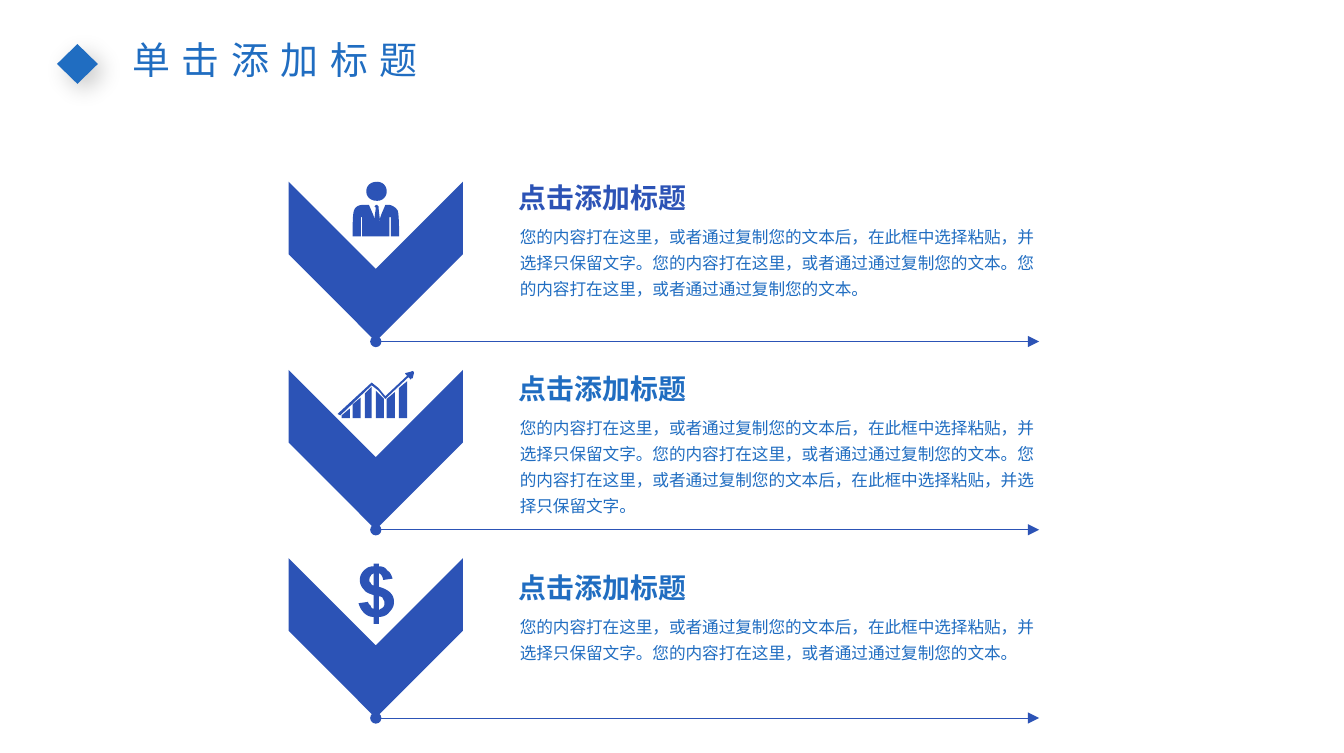
from lxml.etree import SubElement
from pptx import Presentation
from pptx.dml.color import RGBColor
from pptx.enum.shapes import MSO_CONNECTOR, MSO_SHAPE
from pptx.enum.text import MSO_ANCHOR, MSO_AUTO_SIZE, PP_ALIGN
from pptx.oxml.ns import qn
from pptx.util import Cm, Pt

NAVY = RGBColor(0x2C, 0x53, 0xB6)
BLUE = RGBColor(0x20, 0x6D, 0xC1)
FONT = "Noto Sans CJK SC"

TITLE = "单击添加标题"
HEAD = "点击添加标题"
OPEN = "您的内容打在这里，或者通过复制您的文本后，在此框中选择粘贴，并选择只保留文字。"
MORE = "您的内容打在这里，或者通过通过复制您的文本。"

# Each contour lists points (x, y) and cubic curves (x1, y1, x2, y2, x, y).
MAN = [
    [(25, 7), (25, 11, 22, 14, 18, 14), (13, 14, 10, 11, 10, 7),
     (10, 3, 13, 0, 18, 0), (22, 0, 25, 3, 25, 7)],
    [(17, 17), (18, 17), (19, 18), (19, 19), (20, 28), (18, 33), (21, 24),
     (24, 17), (27, 17), (28, 17, 31, 18, 33, 21), (34, 24, 34, 33, 34, 40),
     (28, 40), (28, 26), (27, 26), (27, 40), (7, 40), (7, 26), (6, 26),
     (6, 40), (0, 40), (0, 33, 0, 24, 1, 21), (2, 18, 5, 17, 7, 17),
     (12, 17), (15, 24), (16, 27), (17, 19), (16, 18)],
]
GRAPH = [
    [(9, 27), (9, 34), (3, 34), (3, 32)],
    [(17, 19), (17, 34), (11, 34), (11, 24)],
    [(25, 11), (25, 34), (20, 34), (20, 16)],
    [(28, 14), (34, 20), (34, 34), (28, 34)],
    [(42, 15), (42, 34), (36, 34), (36, 20)],
    [(51, 7), (51, 34), (45, 34), (45, 12)],
    [(54, 0), (55, -1, 56, 0, 56, 1), (55, 5), (54, 5), (54, 6, 53, 6, 53, 5),
     (52, 4), (35, 20), (30, 14), (25, 10), (2, 32), (0, 31), (25, 8),
     (30, 12), (35, 18), (51, 3), (50, 2), (49, 1, 50, 1, 50, 1)],
]
MONEY = [
    [(11, 33), (11, 23), (8, 22, 5, 21, 4, 19), (2, 17, 1, 15, 1, 12),
     (1, 9, 2, 7, 4, 5), (6, 3, 8, 2, 11, 2), (11, 0), (15, 0), (15, 2),
     (18, 2, 20, 3, 21, 5), (23, 6, 24, 8, 25, 11), (18, 12),
     (18, 10, 17, 8, 15, 7), (15, 17), (19, 18, 22, 20, 23, 21),
     (25, 23, 26, 25, 26, 28), (26, 31, 25, 33, 23, 35),
     (21, 38, 18, 39, 15, 39), (15, 44), (11, 44), (11, 39),
     (8, 39, 6, 38, 4, 36), (2, 34, 1, 32, 0, 29), (7, 28),
     (7, 29, 8, 30, 9, 31), (9, 32, 10, 33, 11, 33)],
    [(11, 7), (10, 8, 9, 8, 9, 9), (8, 10, 8, 11, 8, 12),
     (8, 13, 8, 14, 9, 14), (9, 15, 10, 16, 11, 16)],
    [(15, 34), (16, 33, 17, 33, 18, 32), (19, 31, 19, 30, 19, 29),
     (19, 28, 19, 27, 18, 26), (18, 25, 17, 24, 15, 24)],
]
ROWS = [
    (MAN, 1.19, 0, 3.05, NAVY, OPEN + MORE + MORE),
    (GRAPH, 0.91, 0.03, 6.6, BLUE, OPEN + MORE + OPEN),
    (MONEY, 1.3, 0.1, 10.29, BLUE, OPEN + MORE),
]

LEFT, TOP, STEP = 5.37, 3.38, 3.5
WIDE, HIGH, SIDE = 3.24, 2.97, 1.35
UNIT = Cm(2.54) / 100
MID = LEFT + WIDE / 2


def trace(parts):
    spots = [parts[0]]
    for part in parts[1:]:
        if len(part) == 2:
            spots.append(part)
            continue
        start = spots[-1]
        for n in range(1, 7):
            t = n / 6
            u = 1 - t
            spots.append(tuple(
                u**3 * start[i] + 3 * u * u * t * part[i]
                + 3 * u * t * t * part[i + 2] + t**3 * part[i + 4]
                for i in (0, 1)))
    return spots


def draw(paths, left, top, unit):
    lines = [[(round(x * unit), round(y * unit)) for x, y in path]
             for path in paths]
    pen = shapes.build_freeform(*lines[0][0], scale=1.0)
    for n, line in enumerate(lines):
        if n:
            pen.move_to(*line[0])
        pen.add_line_segments(line[1:], close=True)
    form = pen.convert_to_shape(Cm(left), Cm(top))
    paint(form, NAVY)


def paint(shape, color):
    shape.shadow.inherit = False
    shape.fill.solid()
    shape.fill.fore_color.rgb = color
    shape.line.fill.background()


def write(para, text, size, color, bold=False):
    run = para.add_run()
    run.text = text
    run.font.size = Pt(size)
    run.font.bold = bold
    run.font.name = FONT
    run.font.color.rgb = color
    SubElement(run.font._element, qn("a:ea"), typeface=FONT)
    return run


def label(text, left, top, width, height, size, color, space, bold=False):
    box = shapes.add_textbox(Cm(left), Cm(top), Cm(width), Cm(height))
    frame = box.text_frame
    frame.word_wrap = True
    frame.auto_size = MSO_AUTO_SIZE.SHAPE_TO_FIT_TEXT
    if bold:
        frame.margin_top = frame.margin_bottom = 0
    para = frame.paragraphs[0]
    para.line_spacing = space
    write(para, text, size, color, bold)


def arrow(y):
    link = shapes.add_connector(
        MSO_CONNECTOR.STRAIGHT, Cm(MID), Cm(y), Cm(19.33), Cm(y))
    link.line.color.rgb = NAVY
    link.line.width = Pt(0.5)
    line = link.line._get_or_add_ln()
    SubElement(line, qn("a:headEnd"), type="oval")
    SubElement(line, qn("a:tailEnd"), type="triangle")
    SubElement(link._element.spPr, qn("a:effectLst"))


deck = Presentation()
deck.slide_width, deck.slide_height = Cm(25), Cm(14)
slide = deck.slides.add_slide(deck.slide_layouts[5])
shapes = slide.shapes

title = shapes.title
title.left, title.top = Cm(0.38), Cm(0.56)
title.width, title.height = Cm(9.47), Cm(1.12)
frame = title.text_frame
frame.vertical_anchor = MSO_ANCHOR.TOP
frame.auto_size = MSO_AUTO_SIZE.NONE
frame.paragraphs[0].alignment = PP_ALIGN.CENTER
run = write(frame.paragraphs[0], TITLE, 20, BLUE)
run.font._element.set("spc", "600")

gem = shapes.add_shape(
    MSO_SHAPE.DIAMOND, Cm(1.07), Cm(0.81), Cm(0.74), Cm(0.76))
gem.rotation = 90
paint(gem, BLUE)
glow = SubElement(
    gem._element.spPr.find(qn("a:effectLst")), qn("a:outerShdw"),
    blurRad=str(Pt(12)), dist=str(Pt(5)), dir="2700000", rotWithShape="0")
tint = SubElement(glow, qn("a:srgbClr"), val="000000")
SubElement(tint, qn("a:alpha"), val="21000")

DIP = HIGH - SIDE
VEE = [(WIDE, SIDE), (WIDE / 2, HIGH), (0, SIDE), (0, 0),
       (WIDE / 2, DIP), (WIDE, 0)]
for n, (icon, dx, dy, head, color, text) in enumerate(ROWS):
    top = TOP + n * STEP
    draw([VEE], LEFT, top, Cm(1))
    draw([trace(path) for path in icon], LEFT + dx, top + dy, UNIT)
    label(HEAD, 9.4, head, 6.83, 0.84, 14.7, color, 1.5, True)
    label(text, 9.42, head + 0.94, 10.21, 1.73, 8.8, BLUE, 1.3)
    arrow(top + HIGH)

deck.save("out.pptx")
